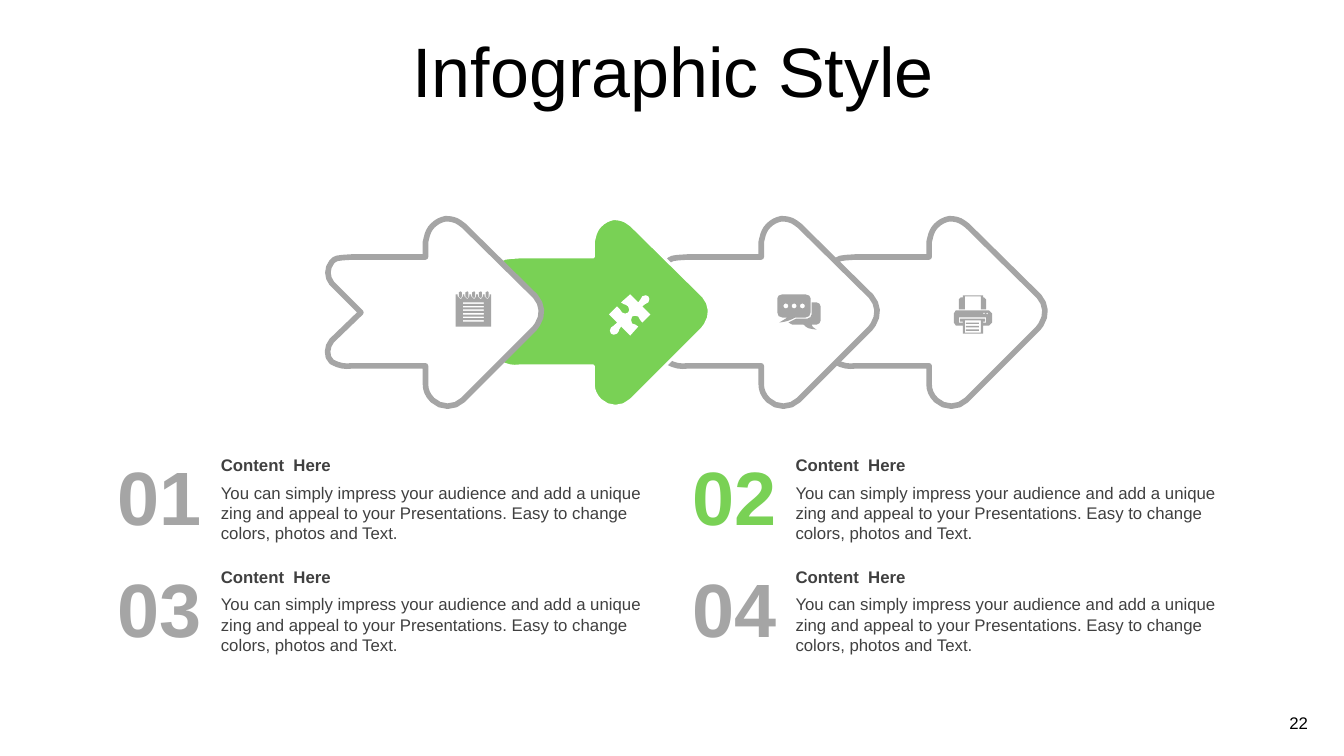
import math

from pptx import Presentation
from pptx.dml.color import RGBColor
from pptx.enum.text import MSO_ANCHOR, MSO_AUTO_SIZE, PP_ALIGN
from pptx.util import Inches, Pt

MIDDLE, TOP = MSO_ANCHOR.MIDDLE, MSO_ANCHOR.TOP
LEFT, CENTER, RIGHT = PP_ALIGN.LEFT, PP_ALIGN.CENTER, PP_ALIGN.RIGHT
NO_AUTOFIT = MSO_AUTO_SIZE.NONE
TITLE_ONLY = 5
FONT = "Arial"
GRAY, GREEN, WHITE, BLACK, DARK = "A5A5A5", "79D155", "FFFFFF", "000000", "404040"

HEADING = "Content  Here"
BODY = ("You can simply impress your audience and add a unique zing and appeal to your "
        "Presentations. Easy to change colors, photos and Text.")

# Outlines in inches: M starts a contour, L is a line, C a cubic curve.
ARROW = """M 4.42,2.17 C 4.47,2.17 4.52,2.18 4.56,2.21 L 4.6,2.24
L 5.31,2.94 C 5.38,3.02 5.39,3.13 5.33,3.22 L 5.3,3.26
L 4.59,3.97 C 4.51,4.05 4.37,4.05 4.29,3.97 C 4.24,3.92 4.22,3.87 4.22,3.81
L 4.22,3.63 L 3.49,3.63 C 3.42,3.64 3.36,3.63 3.29,3.59 C 3.23,3.54 3.24,3.44 3.29,3.38
L 3.58,3.1 L 3.29,2.81 C 3.24,2.75 3.24,2.66 3.29,2.6 C 3.33,2.56 3.32,2.56 3.49,2.55
L 4.22,2.55 L 4.22,2.4 L 4.23,2.36 C 4.24,2.31 4.26,2.27 4.29,2.24
C 4.33,2.2 4.37,2.18 4.42,2.17"""
PUZZLE = """M 6.43,2.94 C 6.44,2.95 6.45,2.98 6.43,3 C 6.41,3.02 6.39,3.01 6.37,3.04
L 6.45,3.12 L 6.37,3.2 C 6.34,3.18 6.35,3.16 6.33,3.14 C 6.31,3.13 6.28,3.13 6.27,3.14
C 6.26,3.16 6.25,3.19 6.27,3.21 C 6.3,3.23 6.31,3.21 6.33,3.24 L 6.25,3.33 L 6.16,3.24
C 6.13,3.27 6.15,3.28 6.12,3.31 C 6.1,3.33 6.07,3.32 6.06,3.31 C 6.05,3.29 6.04,3.27 6.06,3.25
C 6.08,3.22 6.1,3.24 6.12,3.2 L 6.04,3.12 L 6.12,3.04 C 6.16,3.06 6.14,3.08 6.17,3.1
C 6.19,3.12 6.21,3.11 6.23,3.1 C 6.24,3.09 6.25,3.06 6.23,3.04 C 6.2,3.01 6.19,3.03 6.16,3
L 6.25,2.92 L 6.33,3 C 6.36,2.98 6.34,2.97 6.37,2.94 C 6.39,2.92 6.42,2.93 6.43,2.94"""
BUBBLES = """M 8.05,3 L 8.1,3 C 8.12,3 8.14,3.02 8.14,3.04 L 8.14,3.18 C 8.14,3.2 8.12,3.22 8.1,3.22
L 8.05,3.22 C 8.06,3.24 8.06,3.25 8.1,3.27 C 8.02,3.26 8.01,3.26 7.97,3.22 L 7.86,3.22
L 7.82,3.2 L 7.9,3.16 L 8.01,3.16 C 8.03,3.16 8.05,3.14 8.05,3.12
M 7.76,2.92 L 7.99,2.92 C 8.02,2.92 8.04,2.94 8.04,2.96 L 8.04,3.1
C 8.04,3.13 8.02,3.15 7.99,3.15 L 7.89,3.15 C 7.83,3.18 7.81,3.19 7.73,3.2
L 7.81,3.15 L 7.76,3.15 C 7.73,3.15 7.71,3.13 7.71,3.1
L 7.71,2.96 C 7.71,2.94 7.73,2.92 7.76,2.92"""
PRINTER = """M 9.57,3.18 L 9.57,3.3 L 9.73,3.3 L 9.73,3.18
M 9.51,3.15 L 9.51,3.2 L 9.55,3.2 L 9.55,3.19 L 9.52,3.19 L 9.52,3.16 L 9.77,3.16
L 9.77,3.19 L 9.75,3.19 L 9.75,3.2 L 9.78,3.2 L 9.78,3.15
M 9.48,3.08 L 9.81,3.08 L 9.84,3.11 L 9.84,3.2 L 9.81,3.23
L 9.75,3.23 L 9.75,3.31 L 9.55,3.31 L 9.55,3.23 L 9.48,3.23 L 9.46,3.2
L 9.46,3.11 L 9.48,3.08
M 9.55,2.93 L 9.75,2.93 L 9.75,2.95 L 9.76,2.95 L 9.78,2.97
L 9.78,3.07 L 9.73,3.07 L 9.73,2.94 L 9.57,2.94 L 9.57,3.07 L 9.51,3.07 L 9.51,2.97
L 9.53,2.95 L 9.55,2.95"""
PAD_RING = "M 4.57,2.89 L 4.58,2.9 L 4.58,2.94 L 4.57,2.96 L 4.55,2.94 L 4.55,2.9"
PAD_NOTCH = "M 4.54,2.92 L 4.54,2.94 L 4.57,2.97 L 4.59,2.94 L 4.59,2.92"


def color(value):
    return RGBColor.from_string(value)


def curve(start, first, second, end):
    """Points along a cubic curve, without its start; longer curves get more."""
    steps = min(4, math.ceil(math.dist(start, end) / 0.04))
    points = []
    for step in range(1, steps + 1):
        t = step / steps
        weights = ((1 - t) ** 3, 3 * t * (1 - t) ** 2, 3 * t * t * (1 - t), t ** 3)
        points.append(tuple(sum(w * p[axis] for w, p in zip(weights, (start, first, second, end)))
                            for axis in (0, 1)))
    return points


def trace(outline, shift=0):
    """Turn an outline into contours of points, moved right by shift."""
    contours = []
    tokens = iter(outline.split())

    def next_point():
        x, y = next(tokens).split(",")
        return float(x) + shift, float(y)

    for command in tokens:
        if command == "M":
            contours.append([next_point()])
        elif command == "L":
            contours[-1].append(next_point())
        else:
            contours[-1] += curve(contours[-1][-1], next_point(), next_point(), next_point())
    return contours


def bars(left, top, width, height, gap, count):
    return [[(left, y), (left + width, y), (left + width, y + height), (left, y + height)]
            for y in (top + gap * row for row in range(count))]


def circle(x, y, radius, corners):
    angles = [2 * math.pi * corner / corners for corner in range(corners)]
    return [(x + radius * math.cos(a), y + radius * math.sin(a)) for a in angles]


def notepad():
    page = [(4.52, 2.92)]
    rings = []
    for ring in range(5):
        page += trace(PAD_NOTCH, 0.0665 * ring)[0]
        rings += trace(PAD_RING, 0.0665 * ring)
    page += [(4.87, 2.92), (4.87, 3.24), (4.52, 3.24)]
    return [page] + rings + bars(4.59, 3, 0.21, 0.015, 0.035, 6)


def chat():
    return trace(BUBBLES) + [circle(7.795 + 0.082 * dot, 3.035, 0.025, 8) for dot in range(3)]


def printer():
    lights = [circle(x, 3.11, 0.01, 4) for x in (9.76, 9.79)]
    return trace(PRINTER) + bars(9.58, 3.2, 0.13, 0.014, 0.034, 3) + lights


def add_outline(slide, contours, fill, line=None, line_width=0):
    builder = None
    for contour in contours:
        start, *rest = [(Inches(x), Inches(y)) for x, y in contour]
        if builder is None:
            builder = slide.shapes.build_freeform(*start)
        else:
            builder.move_to(*start)
        builder.add_line_segments(rest, close=True)
    shape = builder.convert_to_shape()
    shape.shadow.inherit = False
    shape.fill.solid()
    shape.fill.fore_color.rgb = color(fill)
    if line:
        shape.line.color.rgb = color(line)
        shape.line.width = Pt(line_width)
    else:
        shape.line.fill.background()


def write(box, text, size, hue, bold=False, align=LEFT, anchor=TOP,
          insets=(0, 0.05, 0.1, 0.05), wrap=True):
    frame = box.text_frame
    frame.auto_size = NO_AUTOFIT
    frame.word_wrap = wrap
    frame.vertical_anchor = anchor
    (frame.margin_left, frame.margin_top,
     frame.margin_right, frame.margin_bottom) = map(Inches, insets)
    para = frame.paragraphs[0]
    para.text = text
    para.alignment = align
    para.font.name, para.font.size, para.font.bold = FONT, Pt(size), bold
    para.font.color.rgb = color(hue)
    return para


def add_text(slide, left, top, width, height, *content, **style):
    box = slide.shapes.add_textbox(*map(Inches, (left, top, width, height)))
    write(box, *content, **style)


def add_title(slide, text):
    title = slide.shapes.title
    title.left, title.top, title.width, title.height = map(Inches, (0.35, 0.37, 12.66, 0.79))
    para = write(title, text, 50, BLACK, align=CENTER, anchor=MIDDLE, insets=(0.1, 0.1, 0.1, 0.05))
    para.line_spacing = 0.7


def add_item(slide, left, top, number, hue):
    add_text(slide, left + 1.13, top, 4.45, 0.3, HEADING, 12, DARK, bold=True, anchor=MIDDLE)
    add_text(slide, left + 1.13, top + 0.275, 4.45, 0.71, BODY, 12, DARK)
    add_text(slide, left, top, 0.94, 0.91, f"{number:02}", 54, hue, bold=True,
             align=RIGHT, anchor=MIDDLE, insets=(0, 0, 0, 0))


def main():
    deck = Presentation()
    deck.slide_width, deck.slide_height = Inches(13.33), Inches(7.5)
    slide = deck.slides.add_slide(deck.slide_layouts[TITLE_ONLY])
    add_title(slide, "Infographic Style")

    for position in reversed(range(4)):
        look = (GREEN, WHITE, 2) if position == 1 else (WHITE, GRAY, 4)
        add_outline(slide, trace(ARROW, 1.665 * position), *look)
    for icon, hue in ((notepad(), GRAY), (trace(PUZZLE), WHITE), (chat(), GRAY), (printer(), GRAY)):
        add_outline(slide, icon, hue)

    for index in range(4):
        row, column = divmod(index, 2)
        add_item(slide, 1.06 + 5.7 * column, 4.46 + 1.11 * row, index + 1,
                 GREEN if index == 1 else GRAY)
    add_text(slide, 12.69, 7.02, 0.41, 0.3, "22", 12, BLACK, insets=(0.1, 0.05, 0.1, 0.05), wrap=False)
    deck.save("out.pptx")


if __name__ == "__main__":
    main()
